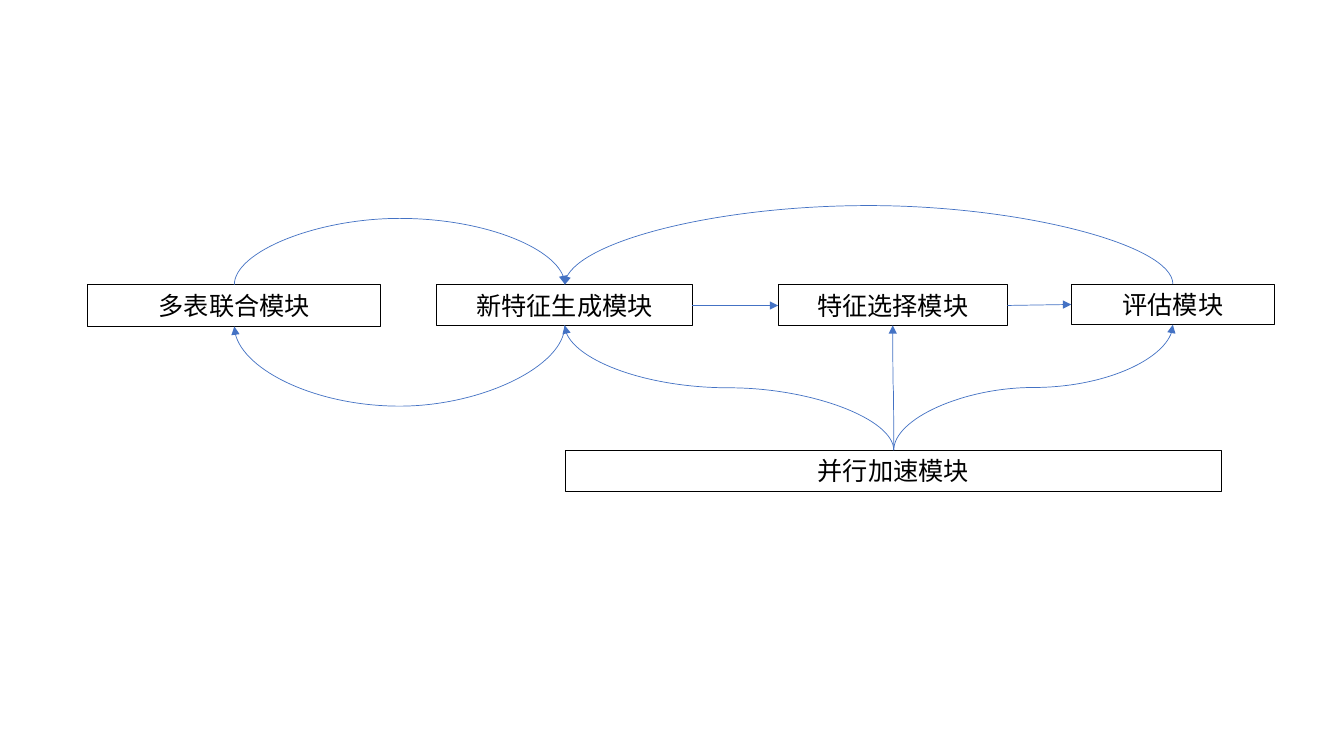
import pptx
import pptx.util
import pptx.dml.color
import pptx.enum.shapes
import pptx.enum.text
import pptx.oxml.ns
import lxml.etree

Pt = pptx.util.Pt
FONT = "Noto Sans CJK SC"
MSO = pptx.enum.shapes


def rgb(value):
    return pptx.dml.color.RGBColor.from_string(value)


def add_arrow(kind, x1, y1, x2, y2):
    c = s.shapes.add_connector(kind, Pt(x1), Pt(y1), Pt(x2), Pt(y2))
    c.line.color.rgb = rgb("4472C4")
    c.line.width = Pt(0.5)
    ln = c.line._get_or_add_ln()
    lxml.etree.SubElement(ln, pptx.oxml.ns.qn("a:tailEnd"), type="triangle")
    lxml.etree.SubElement(c.element.spPr, pptx.oxml.ns.qn("a:effectLst"))
    return c


prs = pptx.Presentation()
prs.slide_width, prs.slide_height = Pt(960), Pt(540)
s = prs.slides.add_slide(prs.slide_layouts[6])

modules = [
    ("多表联合模块", 62.8, 203.4, 209, 29.8),
    ("新特征生成模块", 311.8, 203.4, 182.8, 29),
    ("特征选择模块", 555.8, 203.4, 163.8, 29),
    ("评估模块", 765.2, 203, 145.2, 29),
    ("并行加速模块", 403.8, 321.6, 468.6, 29.2),
]
for name, x, y, w, h in modules:
    sp = s.shapes.add_shape(MSO.MSO_SHAPE.RECTANGLE, Pt(x), Pt(y), Pt(w), Pt(h))
    sp.shadow.inherit = False
    sp.fill.background()
    sp.line.color.rgb = rgb("000000")
    sp.line.width = Pt(0.75)
    tf = sp.text_frame
    tf.text = name
    tf.vertical_anchor = pptx.enum.text.MSO_ANCHOR.MIDDLE
    p = tf.paragraphs[0]
    p.alignment = pptx.enum.text.PP_ALIGN.CENTER
    r = p.runs[0]
    r.font.size = Pt(18)
    r.font.name = FONT
    r.font.color.rgb = rgb("000000")
    rPr = r.font._element
    lxml.etree.SubElement(rPr, pptx.oxml.ns.qn("a:ea"), typeface=FONT)

for x1, y1, x2, y2 in [(494.6, 218.2, 555.8, 218.2), (719.6, 218.2, 765.2, 217.5)]:
    add_arrow(MSO.MSO_CONNECTOR.STRAIGHT, x1, y1, x2, y2)

curves = [
    (638.4, 321.6, 403.4, 232.4, 277, 270),
    (638.4, 321.6, 637.7, 232.4, 277, 270),
    (638.4, 321.6, 837.8, 232, 276.8, 90),
    (837.8, 203, 403.4, 203.5, 148, 270),
    (167.4, 203.5, 403.4, 203, 157, 90),
    (403.4, 232.4, 167.4, 233.2, 290.6, 90),
]
for x1, y1, x2, y2, bend, turn in curves:
    cx, cy = (x1 + x2) / 2, (y1 + y2) / 2
    k = 1 if turn == 90 else -1
    dx, dy = k * (y1 - cy), k * (cx - x1)
    c = add_arrow(MSO.MSO_CONNECTOR.CURVE, cx + dx, cy + dy, cx - dx, cy - dy)
    c.element.spPr.xfrm.set("rot", str(turn * 60000))
    geom = c.element.spPr.find(pptx.oxml.ns.qn("a:prstGeom"))
    av = geom.find(pptx.oxml.ns.qn("a:avLst"))
    adj = round((bend - y1) / (y2 - y1) * 100000)
    lxml.etree.SubElement(av, pptx.oxml.ns.qn("a:gd"), name="adj1", fmla=f"val {adj}")

prs.save("out.pptx")
